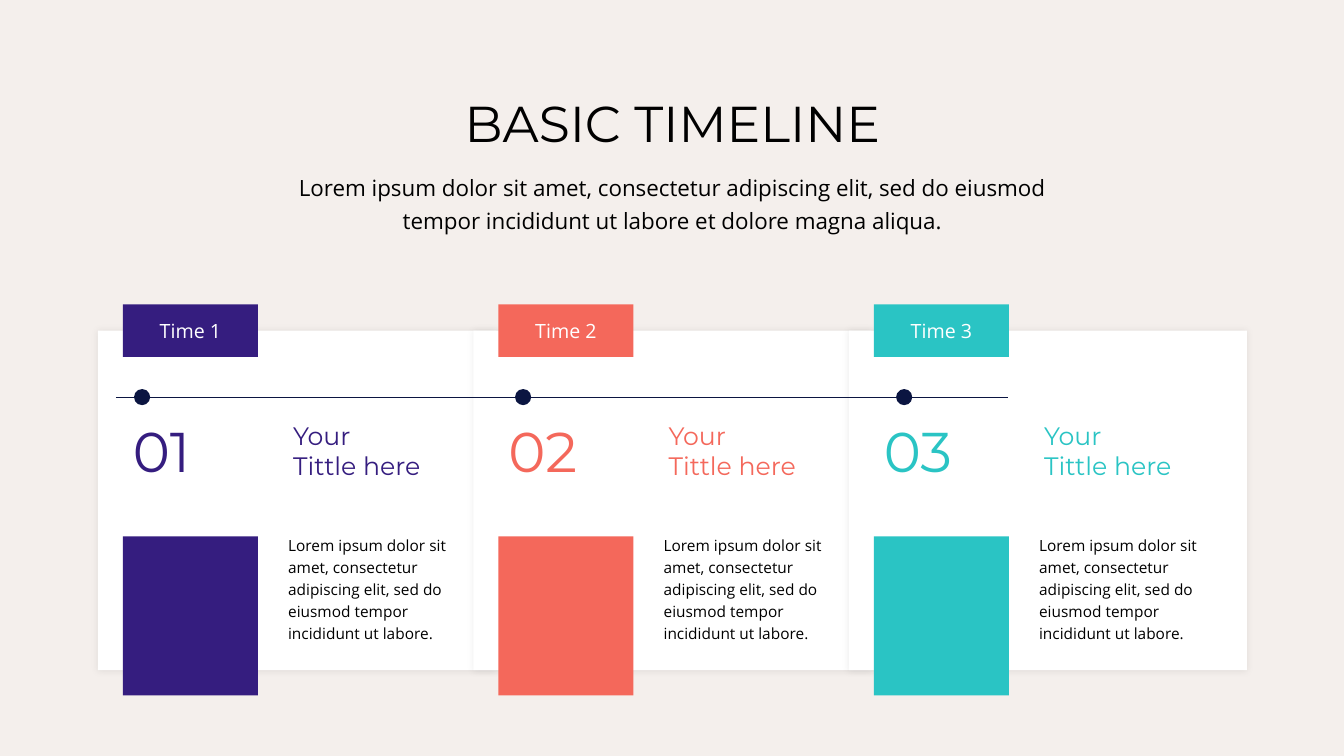
import pptx
import pptx.util
import pptx.dml.color
import pptx.enum.shapes
import pptx.enum.text
import pptx.oxml

CELL = pptx.util.Inches(0.1)
COLS, ROWS = 133.33, 75
PITCH = 37.25
HEAD, BODY = "Montserrat", "Open Sans"
KIND = pptx.enum.shapes.MSO_SHAPE
ALIGN = pptx.enum.text.PP_ALIGN
ANCHOR = pptx.enum.text.MSO_ANCHOR
SIZE = pptx.enum.text.MSO_AUTO_SIZE
HEX = {
    "back": "F4EFEC",
    "card": "FFFFFF",
    "ink": "000000",
    "navy": "0B1541",
    "violet": "351D7F",
    "coral": "F4685B",
    "teal": "2AC4C4",
}
LOREM = "Lorem ipsum dolor sit amet, consectetur adipiscing elit, sed do eiusmod tempor incididunt ut labore"
NS = 'xmlns:a="http://schemas.openxmlformats.org/drawingml/2006/main"'
SHADE = (
    f'<a:effectLst {NS}><a:outerShdw blurRad="63500" dist="0" dir="0" '
    f'algn="ctr" rotWithShape="0"><a:srgbClr val="{HEX["ink"]}">'
    '<a:alpha val="8000"/></a:srgbClr></a:outerShdw></a:effectLst>'
)


def color(name):
    return pptx.dml.color.RGBColor.from_string(HEX[name])


def grid(*cells):
    return [round(cell * CELL) for cell in cells]


def format(item, values):
    for name, value in values.items():
        setattr(item, name, value)


def write(shape, text, font, size, tint, para=None, frame=None):
    body = shape.text_frame
    body.text = text
    look = {"word_wrap": True, "auto_size": SIZE.SHAPE_TO_FIT_TEXT,
            "vertical_anchor": ANCHOR.TOP}
    format(body, look | (frame or {}))
    for line in body.paragraphs:
        format(line, para or {})
        format(line.font, {"name": font, "size": pptx.util.Pt(size)})
        line.font.color.rgb = color(tint)


def label(slide, box, *words, **look):
    write(slide.shapes.add_textbox(*grid(*box)), *words, **look)


def block(slide, box, tint, kind=KIND.RECTANGLE):
    shape = slide.shapes.add_shape(kind, *grid(*box))
    shape.shadow.inherit = False
    shape.fill.solid()
    shape.fill.fore_color.rgb = color(tint)
    shape.line.fill.background()
    return shape


def shade(shape):
    props = shape.element.spPr
    for old in props.findall(pptx.oxml.ns.qn("a:effectLst")):
        props.remove(old)
    props.append(pptx.oxml.parse_xml(SHADE))


def title(slide):
    shape = slide.shapes.title
    places = ("left", "top", "width", "height")
    format(shape, dict(zip(places, grid(42.4, 8.6, 48.6, 7.1))))
    write(shape, "BASIC TIMELINE", HEAD, 36, "ink", {"alignment": ALIGN.CENTER})


def step(slide, index, tint):
    left = 9.7 + index * PITCH
    inner = left + 2.5
    shade(block(slide, (left, 32.8, 39.5, 33.7), "card"))
    tab = block(slide, (inner, 30.2, 13.4, 5.2), tint)
    write(tab, f"Time {index + 1}", BODY, 14, "card", {"alignment": ALIGN.CENTER},
          {"auto_size": SIZE.NONE, "vertical_anchor": ANCHOR.MIDDLE})
    label(slide, (inner, 40.8, 12.4, 7.7), f"{index + 1:02}", HEAD, 40, tint)
    label(slide, (left + 18.4, 41.2, 16.9, 7.1), "Your\nTittle here", HEAD, 18, tint)
    label(slide, (left + 17.9, 52.3, 18.8, 12), LOREM + ".", BODY, 11, "ink",
          para={"line_spacing": 1.2})
    block(slide, (inner, 53.2, 13.4, 15.8), tint)


def track(slide):
    kind = pptx.enum.shapes.MSO_CONNECTOR.STRAIGHT
    line = slide.shapes.add_connector(kind, *grid(11.5, 39.4, 100, 39.4))
    line.line.color.rgb = color("navy")
    line.line.width = pptx.util.Pt(0.75)
    line.element.spPr.append(pptx.oxml.parse_xml(f"<a:effectLst {NS}/>"))
    for index in range(3):
        block(slide, (13.3 + index * 37.8, 38.6, 1.6, 1.6), "navy", KIND.OVAL)


def main():
    deck = pptx.Presentation()
    deck.slide_width, deck.slide_height = grid(COLS, ROWS)
    slide = deck.slides.add_slide(deck.slide_layouts[5])
    slide.background.fill.solid()
    slide.background.fill.fore_color.rgb = color("back")
    title(slide)
    for index, tint in enumerate(("violet", "coral", "teal")):
        step(slide, index, tint)
    label(slide, (27.1, 16.3, 79.2, 7.2), LOREM + " et dolore magna aliqua.",
          BODY, 16, "ink", para={"alignment": ALIGN.CENTER, "line_spacing": 1.2})
    track(slide)
    deck.save("out.pptx")


if __name__ == "__main__":
    main()
